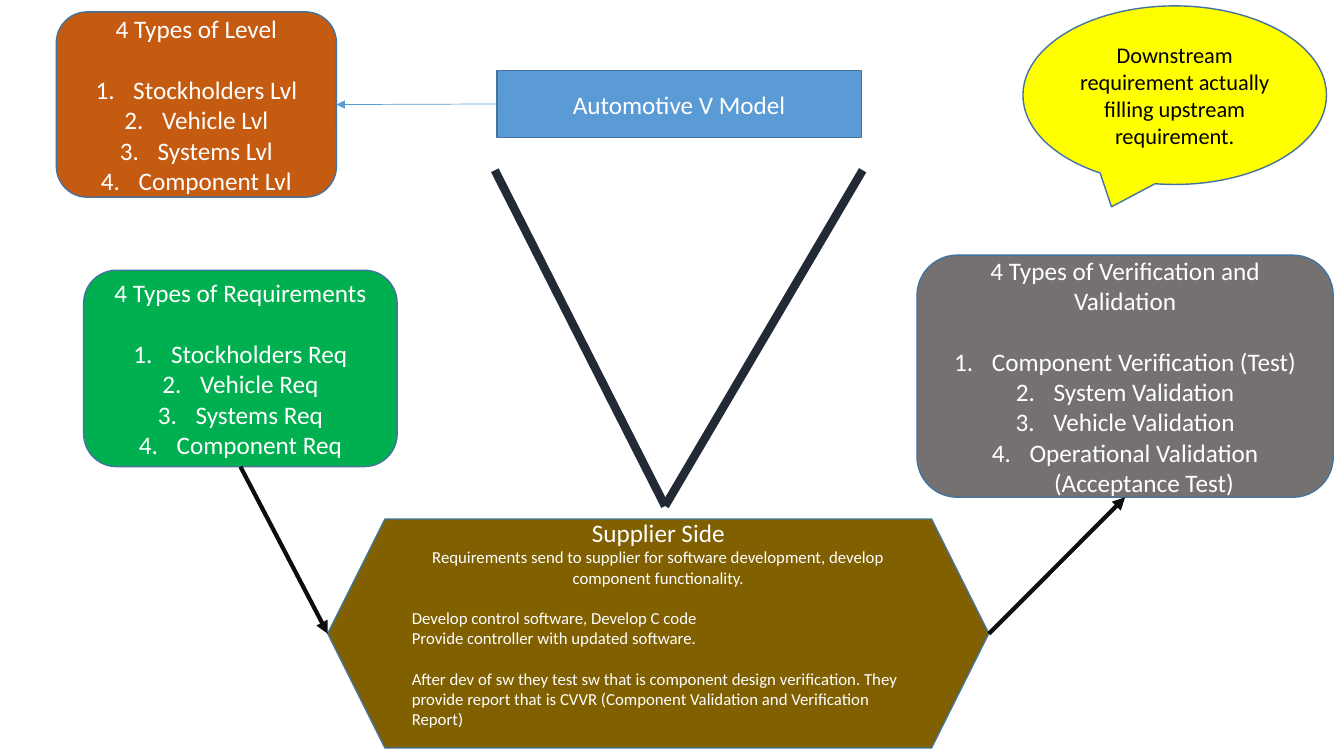
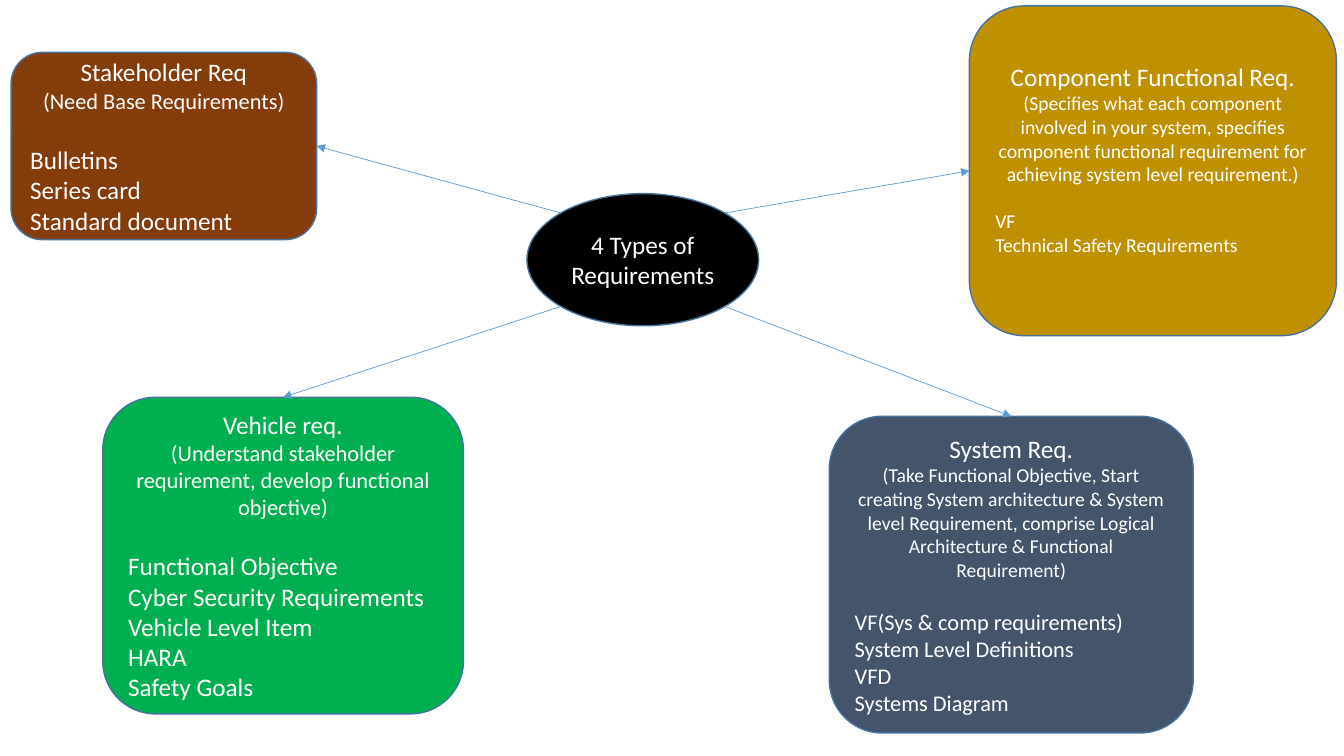
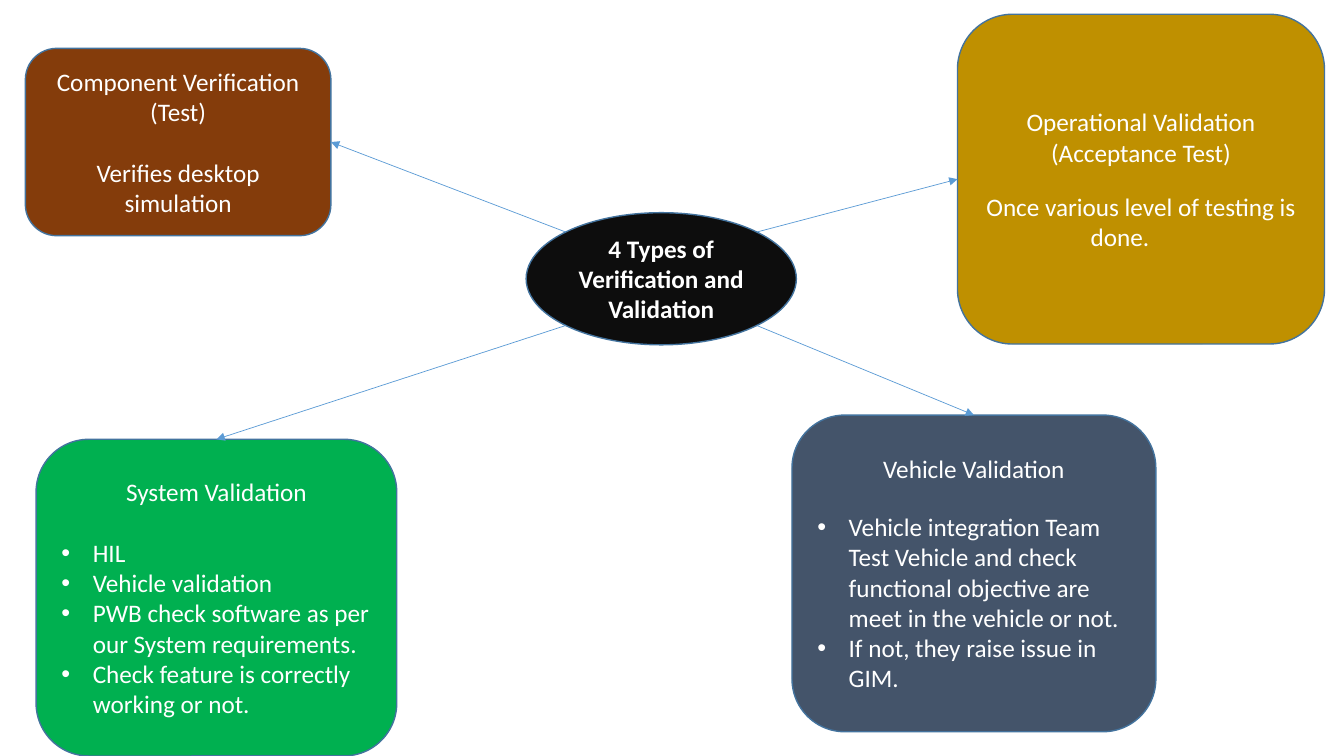
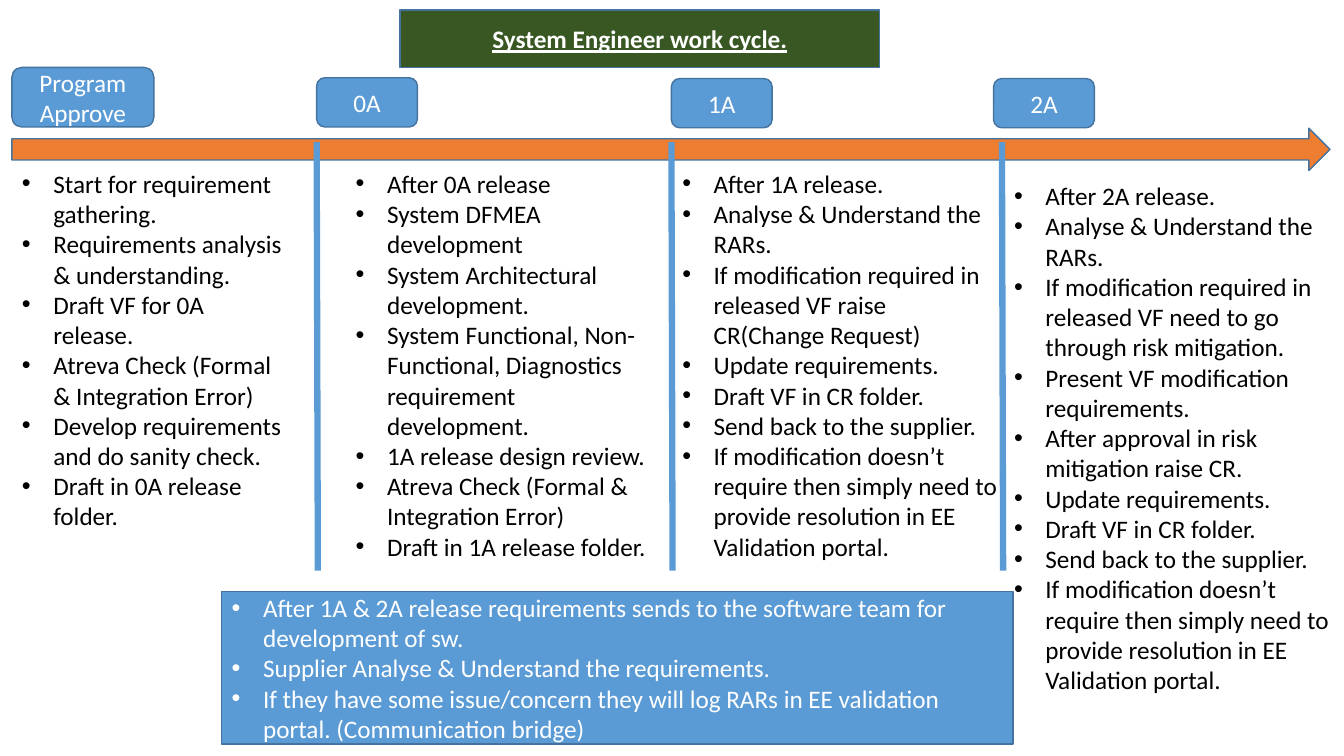
from dataclasses import dataclass
from math import sqrt

from lxml.etree import SubElement
from pptx import Presentation
from pptx.dml.color import RGBColor
from pptx.enum.shapes import MSO_CONNECTOR, MSO_SHAPE as Geo
from pptx.enum.text import MSO_ANCHOR as Anchor, MSO_AUTO_SIZE as Fit, PP_ALIGN as Align
from pptx.oxml.ns import qn
from pptx.util import Cm, Pt

FONT = "Calibri"
WHITE, BLACK, INK = "FFFFFF", "000000", "0D0D0D"
BLUE, EDGE, NAVY = "5B9BD5", "43739E", "222A35"
GREEN, BROWN, GOLD, SLATE = "00B050", "843C0B", "BF9000", "44546A"
TOP, LEFT, BOTTOM, RIGHT = range(4)
LEADING = 1.22
INSET = 0.13
BRANCHES = [
    (BROWN, 7.7, 4.72, RIGHT, -1, -1),
    (GREEN, 9.09, 7.98, TOP, -1, 1),
    (SLATE, 9.17, 7.98, TOP, 1, 1),
    (GOLD, 9.25, 8.31, LEFT, 1, -1),
]


@dataclass
class Row:
    text: str
    size: int = 18
    gap: int = 0
    align: Align = Align.CENTER
    mark: str = ""
    bold: bool = False
    under: bool = False


def flush(text, size=18, gap=0):
    return Row(text, size, gap, Align.LEFT)


def dots(*texts, gap=0):
    return [Row(text, 18, 0 if i else gap, Align.LEFT, "dot") for i, text in enumerate(texts)]


def steps(*texts):
    return [Row(text, 18, 0 if i else 18, mark="step") for i, text in enumerate(texts)]


def paint(target, hue):
    if hasattr(target, "solid"):
        target.solid()
        target = target.fore_color
    target.rgb = RGBColor.from_string(hue)


def place(shape, spot):
    shape.left, shape.top, shape.width, shape.height = map(Cm, spot)


def bullet(para, mark):
    props = para._p.get_or_add_pPr()
    indent = Cm(0.95 if mark == "step" else 0.79)
    props.set("marL", str(indent))
    props.set("indent", str(-indent))
    if mark == "step":
        SubElement(props, qn("a:buFont")).set("typeface", "+mj-lt")
        SubElement(props, qn("a:buAutoNum")).set("type", "arabicPeriod")
    else:
        SubElement(props, qn("a:buFont")).set("typeface", "Arial")
        SubElement(props, qn("a:buChar")).set("char", "•")


def write(frame, rows, hue=WHITE, anchor=Anchor.MIDDLE):
    frame.word_wrap = True
    frame.auto_size = Fit.NONE
    frame.vertical_anchor = anchor
    for i, row in enumerate(rows):
        para = frame.add_paragraph() if i else frame.paragraphs[0]
        para.text = row.text
        para.alignment = row.align
        para.space_before = Pt(row.gap * LEADING)
        if row.mark:
            bullet(para, row.mark)
        font = para.font
        font.name, font.size = FONT, Pt(row.size)
        font.bold, font.underline = row.bold, row.under
        paint(font.color, hue)


def coat(shape, hue):
    paint(shape.fill, hue)
    paint(shape.line.color, EDGE)
    shape.line.width = Pt(1)


def box(slide, geo, spot, hue, rows=(), ink=WHITE, foot=0):
    shape = slide.shapes.add_shape(geo, *map(Cm, spot))
    shape.shadow.inherit = False
    coat(shape, hue)
    write(shape.text_frame, rows, ink)
    shape.text_frame.margin_bottom = Cm(INSET + foot)
    return shape


def banner(slide, spot, hue, row):
    title = slide.shapes.title
    place(title, spot)
    coat(title, hue)
    write(title.text_frame, [row])
    return title


def column(slide, idx, spot, texts):
    body = slide.placeholders[idx]
    place(body, spot)
    write(body.text_frame, dots(*texts), BLACK, Anchor.TOP)


def link(slide, start, end, hue=BLUE, width=0.5, tip=True):
    line = slide.shapes.add_connector(MSO_CONNECTOR.STRAIGHT, *map(Cm, start + end))
    SubElement(line._element.spPr, qn("a:effectLst"))
    paint(line.line.color, hue)
    line.line.width = Pt(width)
    if tip:
        SubElement(line.line._get_or_add_ln(), qn("a:tailEnd")).set("type", "triangle")
    return line


def hub(deck, spot, label, leaves):
    slide = deck.slides.add_slide(deck.slide_layouts[6])
    x, y, wide, high = spot
    box(slide, Geo.OVAL, spot, *label)
    for (hue, w, h, side, dx, dy), (left, top, rows, foot) in zip(BRANCHES, leaves):
        leaf = box(slide, Geo.ROUNDED_RECTANGLE, (left, top, w, h), hue, rows, foot=foot)
        start = (x + wide / 2 * (1 + dx / sqrt(2)), y + high / 2 * (1 + dy / sqrt(2)))
        link(slide, start, start).end_connect(leaf, side)


def model(deck):
    slide = deck.slides.add_slide(deck.slide_layouts[5])
    title = banner(slide, (12.52, 1.78, 9.19, 1.68), BLUE, Row("Automotive V Model"))
    level, needs, tests = [
        box(slide, Geo.ROUNDED_RECTANGLE, spot, hue, [Row(head)] + steps(*items))
        for spot, hue, head, items in [
            ((1.42, 0.3, 7.06, 4.67), "C55A11", "4 Types of Level",
             ("Stockholders Lvl", "Vehicle Lvl", "Systems Lvl", "Component Lvl")),
            ((2.11, 6.81, 7.9, 4.95), GREEN, "4 Types of Requirements",
             ("Stockholders Req", "Vehicle Req", "Systems Req", "Component Req")),
            ((23.11, 6.43, 10.49, 6.1), "767171", "4 Types of Verification and Validation",
             ("Component Verification (Test)", "System Validation", "Vehicle Validation",
              "Operational Validation (Acceptance Test)")),
        ]
    ]
    box(slide, Geo.OVAL_CALLOUT, (25.78, 0.15, 7.65, 4.5), "FFFF00",
        [Row("Downstream requirement actually filling upstream requirement.", 16)], BLACK)
    box(slide, Geo.HEXAGON, (8.26, 13.08, 16.66, 5.77), "806000", [
        Row("Supplier Side"),
        Row("Requirements send to supplier for software development, "
            "develop component functionality.", 12),
        flush("Develop control software, Develop C code", 12, 12),
        flush("Provide controller with updated software.", 12),
        flush("After dev of sw they test sw that is component design verification. They provide "
              "report that is CVVR (Component Validation and Verification Report)", 12, 12),
    ], foot=0.52)
    arrow = link(slide, (12.52, 2.62), (8.48, 2.62))
    arrow.begin_connect(title, LEFT)
    arrow.end_connect(level, RIGHT)
    for x in (12.47, 21.74):
        link(slide, (x, 4.29), (16.76, 12.75), NAVY, 6, False)
    west, east = (8.26, 15.97), (24.92, 15.97)
    link(slide, west, west, INK, 3).begin_connect(needs, BOTTOM)
    link(slide, east, east, INK, 3).end_connect(tests, BOTTOM)


def needs_map(deck):
    hub(deck, (13.28, 4.88, 5.84, 3.33), (BLACK, [Row("4 Types of Requirements")]), [
        (0.28, 1.32, [
            Row("Stakeholder Req"),
            Row("(Need Base Requirements)", 16),
            flush("Bulletins", gap=18),
            flush("Series card"),
            flush("Standard document"),
        ], 0),
        (2.59, 10.01, [
            Row("Vehicle req."),
            Row("(Understand stakeholder requirement, develop functional objective)", 16),
            flush("Functional Objective", gap=18),
            flush("Cyber Security Requirements"),
            flush("Vehicle Level Item"),
            flush("HARA"),
            flush("Safety Goals"),
        ], 0),
        (20.9, 10.49, [
            Row("System Req."),
            Row("(Take Functional Objective, Start creating System architecture & System level "
                "Requirement, comprise Logical Architecture & Functional Requirement)", 14),
            flush("VF(Sys & comp requirements)", 16, 16),
            flush("System Level Definitions", 16),
            flush("VFD", 16),
            flush("Systems Diagram", 16),
        ], 0),
        (24.43, 0.15, [
            Row("Component Functional Req."),
            Row("(Specifies what each component involved in your system, specifies component "
                "functional requirement for achieving system level requirement.)", 14),
            flush("VF", 14, 14),
            flush("Technical Safety Requirements", 14),
        ], 0.6),
    ])


def tests_map(deck):
    label = Row("4 Types of Verification and Validation", bold=True)
    hub(deck, (13.26, 5.36, 6.81, 3.33), (INK, [label]), [
        (0.64, 1.22, [
            Row("Component Verification (Test)"),
            Row("Verifies desktop simulation", gap=18),
        ], 0),
        (0.91, 11.07, [Row("System Validation")] + dots(
            "HIL",
            "Vehicle validation",
            "PWB check software as per our System requirements.",
            "Check feature is correctly working or not.",
            gap=18), 0),
        (19.96, 10.46, [Row("Vehicle Validation")] + dots(
            "Vehicle integration Team Test Vehicle and check functional objective are meet "
            "in the vehicle or not.",
            "If not, they raise issue in GIM.",
            gap=16), 0),
        (24.13, 0.36, [
            Row("Operational Validation (Acceptance Test)"),
            Row("Once various level of testing is done.\t", gap=14),
        ], 0),
    ])


def cycle(deck):
    slide = deck.slides.add_slide(deck.slide_layouts[4])
    banner(slide, (10.08, 0.25, 12.09, 1.45), "385723",
           Row("System Engineer work cycle.", bold=True, under=True))
    box(slide, Geo.RIGHT_ARROW, (0.3, 3.23, 33.22, 1.07), "ED7D31")
    for spot, text in [
        ((0.3, 1.7, 3.58, 1.5), "Program Approve"),
        ((7.98, 1.96, 2.54, 1.24), "0A"),
        ((16.92, 1.98, 2.54, 1.24), "1A"),
        ((25.04, 1.98, 2.54, 1.24), "2A"),
    ]:
        box(slide, Geo.ROUNDED_RECTANGLE, spot, BLUE, [Row(text)])
    for x in (7.98, 16.92, 25.25):
        link(slide, (x, 3.58), (x + 0.03, 14.38), BLUE, 4.5, False)
    study = "Analyse & Understand the RARs."
    check = "Atreva Check (Formal & Integration Error)"
    close = (
        "Draft VF in CR folder.",
        "Send back to the supplier.",
        "If modification doesn’t require then simply need to provide resolution in EE "
        "Validation portal.",
    )
    phases = [
        ((0.3, 4.11, 7.24, 9.5), (
            "Start for requirement gathering.",
            "Requirements analysis & understanding.",
            "Draft VF for 0A release.",
            check,
            "Develop requirements and do sanity check.",
            "Draft in 0A release folder.")),
        ((8.71, 4.11, 7.87, 10.26), (
            "After 0A release",
            "System DFMEA development",
            "System Architectural development.",
            "System Functional, Non-Functional, Diagnostics requirement development.",
            "1A release design review.",
            check,
            "Draft in 1A release folder.")),
        ((16.94, 4.11, 8.56, 10.26), (
            "After 1A release.",
            study,
            "If modification required in released VF raise CR(Change Request)",
            "Update requirements.") + close),
        ((25.3, 4.42, 8.56, 13.34), (
            "After 2A release.",
            study,
            "If modification required in released VF need to go through risk mitigation.",
            "Present VF modification requirements.",
            "After approval in risk mitigation raise CR.",
            "Update requirements.") + close),
    ]
    for idx, (spot, texts) in enumerate(phases, 1):
        column(slide, idx, spot, texts)
    box(slide, Geo.RECTANGLE, (5.59, 14.91, 19.94, 3.84), BLUE, dots(
        "After 1A & 2A release requirements sends to the software team for development of sw.",
        "Supplier Analyse & Understand the requirements.",
        "If they have some issue/concern they will log RARs in EE validation portal. "
        "(Communication bridge)"))


def main():
    deck = Presentation()
    deck.slide_width, deck.slide_height = Cm(33.87), Cm(19.05)
    for build in (model, needs_map, tests_map, cycle):
        build(deck)
    deck.save("out.pptx")


if __name__ == "__main__":
    main()
